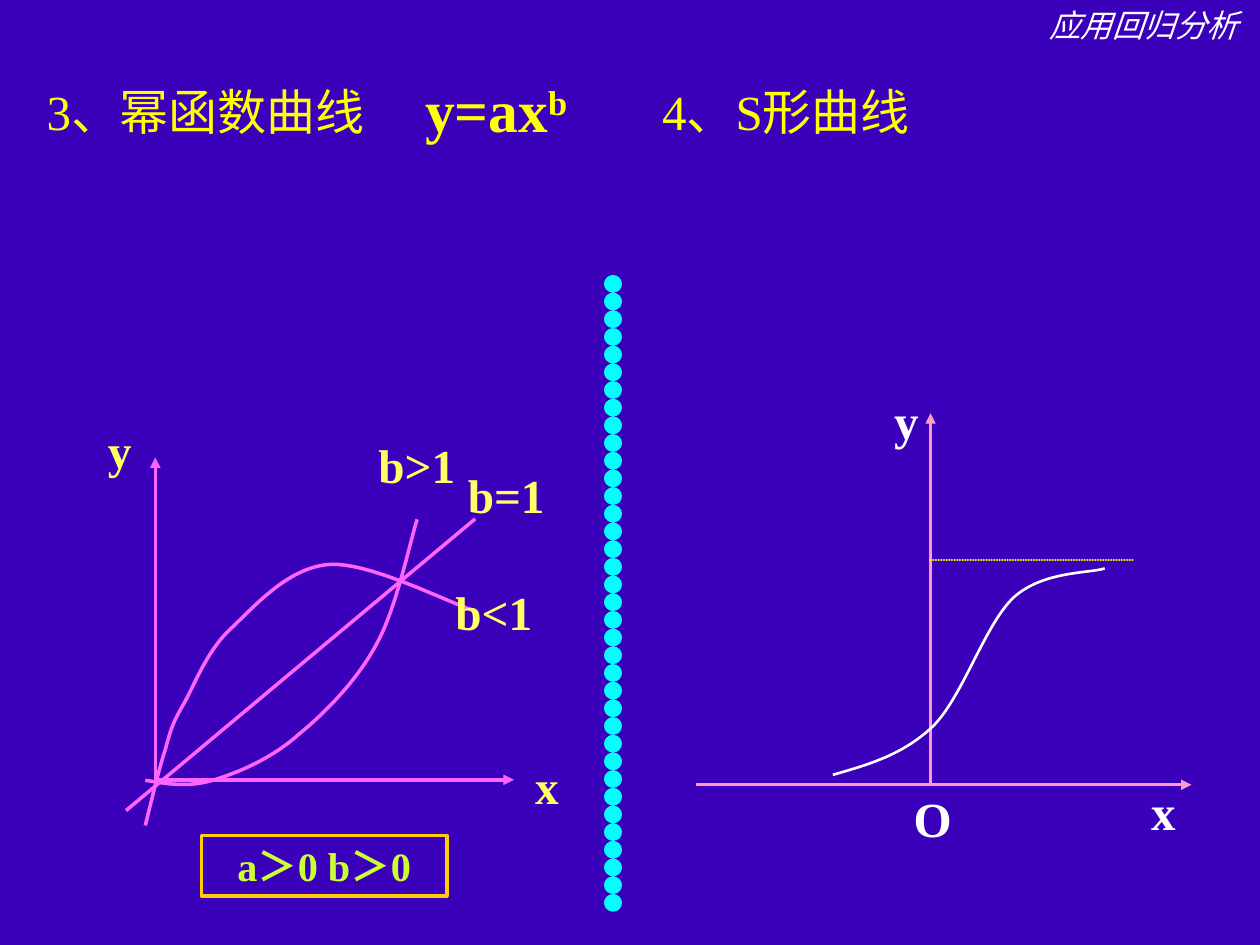
import pptx
import pptx.dml.color
import pptx.enum.shapes
import pptx.enum.text
import pptx.oxml
import pptx.oxml.ns
import pptx.util

Cm, Pt = pptx.util.Cm, pptx.util.Pt
ALIGN = pptx.enum.text.PP_ALIGN
ANCHOR = pptx.enum.text.MSO_ANCHOR
FONT = "Times New Roman"
COLORS = {
    "background": "3A00BA", "white": "FFFFFF", "yellow": "FFFF00",
    "label": "FFFF66", "curve": "FF66FF", "axis": "FF99CC",
    "divider": "00FFFF", "frame": "FFCC00", "condition": "CCFF33",
}
NS = pptx.oxml.ns.nsdecls("a")
ARROW = f'<a:tailEnd {NS} type="triangle"/>'
ROUND_DOTS = f'<a:custDash {NS}><a:ds d="1000" sp="100000"/></a:custDash>'


def rgb(name):
    return pptx.dml.color.RGBColor.from_string(COLORS[name])


def add_text(slide, text, x, y, w, h, size=28, color="yellow", bold=False,
             italic=False, align=ALIGN.LEFT, anchor=ANCHOR.TOP, wrap=True,
             hanging=0, superscript="", frame=None):
    """Add text in a box; frame names the colour of an outline around it."""
    box = Cm(x), Cm(y), Cm(w), Cm(h)
    if frame:
        sp = slide.shapes.add_shape(pptx.enum.shapes.MSO_SHAPE.RECTANGLE, *box)
        sp.shadow.inherit = False
        sp.fill.background()
        sp.line.color.rgb = rgb(frame)
        sp.line.width = Pt(2)
    else:
        sp = slide.shapes.add_textbox(*box)
    tf = sp.text_frame
    tf.word_wrap = wrap
    tf.vertical_anchor = anchor
    if not wrap:
        tf.auto_size = pptx.enum.text.MSO_AUTO_SIZE.SHAPE_TO_FIT_TEXT
        tf.margin_left = tf.margin_right = Cm(0.23)
    p = tf.paragraphs[0]
    p.alignment = align
    if hanging:
        pPr = p._p.get_or_add_pPr()
        pPr.set("marL", str(Cm(hanging)))
        pPr.set("indent", str(-Cm(hanging)))
    for part in filter(None, (text, superscript)):
        r = p.add_run()
        r.text = part
        r.font.name, r.font.size = FONT, Pt(size)
        r.font.bold, r.font.italic = bold, italic
        r.font.color.rgb = rgb(color)
    if superscript:
        r._r.get_or_add_rPr().set("baseline", "30000")


def add_line(slide, x1, y1, x2, y2, color, width, arrow=False, dotted=False):
    line = slide.shapes.add_connector(
        pptx.enum.shapes.MSO_CONNECTOR.STRAIGHT, Cm(x1), Cm(y1), Cm(x2), Cm(y2))
    line.line.color.rgb = rgb(color)
    line.line.width = Pt(width)
    ln = line.line._get_or_add_ln()
    if dotted:
        ln.set("cap", "rnd")
        ln.append(pptx.oxml.parse_xml(ROUND_DOTS))
    if arrow:
        ln.append(pptx.oxml.parse_xml(ARROW))
    line._element.spPr.append(pptx.oxml.parse_xml(f"<a:effectLst {NS}/>"))


def add_curve(slide, left, top, knots, color, width):
    """Draw cubic curves through knots: start, control, control, end, ..."""
    points = [(Cm(left + x), Cm(top + y)) for x, y in knots]
    builder = slide.shapes.build_freeform(*points[0])
    builder.add_line_segments(points[1:], close=False)
    sp = builder.convert_to_shape()
    segments = sp._element.findall(".//" + pptx.oxml.ns.qn("a:lnTo"))
    for i in range(0, len(segments), 3):
        cubic = pptx.oxml.parse_xml(f"<a:cubicBezTo {NS}/>")
        segments[i].addprevious(cubic)
        for segment in segments[i:i + 3]:
            cubic.append(segment[0])
            segment.getparent().remove(segment)
    sp.shadow.inherit = False
    sp.fill.background()
    sp.line.color.rgb = rgb(color)
    sp.line.width = Pt(width)


def add_headings(slide, left, top):
    add_text(slide, "应用回归分析", left + 20.9, top, 4.5, 1.02, size=18,
             color="white", italic=True)
    add_text(slide, "y=ax", left + 8.1, top + 1.36, 3.81, 1.68, size=34, bold=True,
             align=ALIGN.CENTER, anchor=ANCHOR.MIDDLE, superscript="b")
    for text, x, w in (("3、幂函数曲线", 0.69, 7.24), ("4、S形曲线", 13.1, 5.77)):
        add_text(slide, text, left + x, top + 1.52, w, 1.66, hanging=0.97)


def add_power_plot(slide, left, top):
    """Draw y = ax^b for b above, equal to and below one."""
    origin_x, origin_y = left + 1.2, top + 7.36
    for x, y in ((left + 8.43, origin_y), (origin_x, top + 0.86)):
        add_line(slide, origin_x, origin_y, x, y, "curve", 2, arrow=True)
    add_line(slide, left + 0.61, top + 7.98, left + 7.65, top + 2.1, "curve", 2)
    b_below_one = [
        (1, 8.28), (1.14, 7.72), (1.27, 7.16), (1.4, 6.76),
        (1.52, 6.32), (1.55, 6.22), (1.78, 5.82),
        (2.01, 5.41), (2.26, 4.72), (2.77, 4.27),
        (3.25, 3.81), (3.91, 3.07), (4.72, 3.02),
        (5.54, 2.97), (7.16, 3.81), (7.65, 3.96)]
    b_above_one = [
        (1, 7.37), (1.42, 7.44), (1.85, 7.52), (2.36, 7.37),
        (2.9, 7.21), (3.58, 6.91), (4.11, 6.43),
        (4.67, 5.97), (5.31, 5.31), (5.69, 4.57),
        (6.07, 3.86), (6.35, 2.51), (6.48, 2.11)]
    for knots in (b_below_one, b_above_one):
        add_curve(slide, left, top, knots, "curve", 2)
    labels = (("x", 8.61, 6.78, 0.97), ("y", 0, 0, 0.97), ("b<1", 7.01, 3.28, 2.03),
              ("b=1", 7.26, 0.91, 2.03), ("b>1", 5.46, 0.3, 2.03))
    for text, x, y, w in labels:
        add_text(slide, text, left + x, top + y, w, 1.4, size=27, color="label",
                 bold=True, align=ALIGN.CENTER, anchor=ANCHOR.MIDDLE, wrap=False)
    add_text(slide, "a＞0 b＞0", left + 2.13, top + 8.48, 4.95, 1.22, size=23,
             color="condition", bold=True, align=ALIGN.CENTER,
             anchor=ANCHOR.MIDDLE, wrap=False, frame="frame")


def add_s_plot(slide, left, top):
    """Draw the S curve rising to its dotted asymptote."""
    axis_x, axis_y, limit_y = left + 4.72, top + 8.07, top + 3.54
    add_line(slide, left, axis_y, left + 9.98, axis_y, "axis", 1.5, arrow=True)
    add_line(slide, axis_x, axis_y, axis_x, top + 0.58, "axis", 1.5, arrow=True)
    add_line(slide, axis_x, limit_y, left + 8.81, limit_y, "yellow", 1.5, dotted=True)
    s_curve = [
        (2.75, 7.87), (3.45, 7.67), (4.17, 7.47), (4.78, 6.88),
        (5.38, 6.27), (5.82, 4.83), (6.4, 4.29),
        (6.99, 3.76), (7.92, 3.81), (8.23, 3.71)]
    add_curve(slide, left, top, s_curve, "white", 1.5)
    for text, x, y in (("y", 3.25, 0), ("x", 8.43, 7.87), ("O", 3.78, 8.03)):
        add_text(slide, text, left + x, top + y, 1.96, 1.42, color="white",
                 bold=True, align=ALIGN.CENTER)


def main():
    prs = pptx.Presentation()
    prs.slide_width, prs.slide_height = Cm(25.4), Cm(19.05)
    slide = prs.slides.add_slide(prs.slide_layouts[6])
    slide.background.fill.solid()
    slide.background.fill.fore_color.rgb = rgb("background")
    add_headings(slide, 0, 0)
    add_power_plot(slide, 1.93, 8.36)
    add_line(slide, 12.36, 5.72, 12.36, 18.42, "divider", 10, dotted=True)
    add_s_plot(slide, 14.04, 7.75)
    prs.save("out.pptx")


if __name__ == "__main__":
    main()
